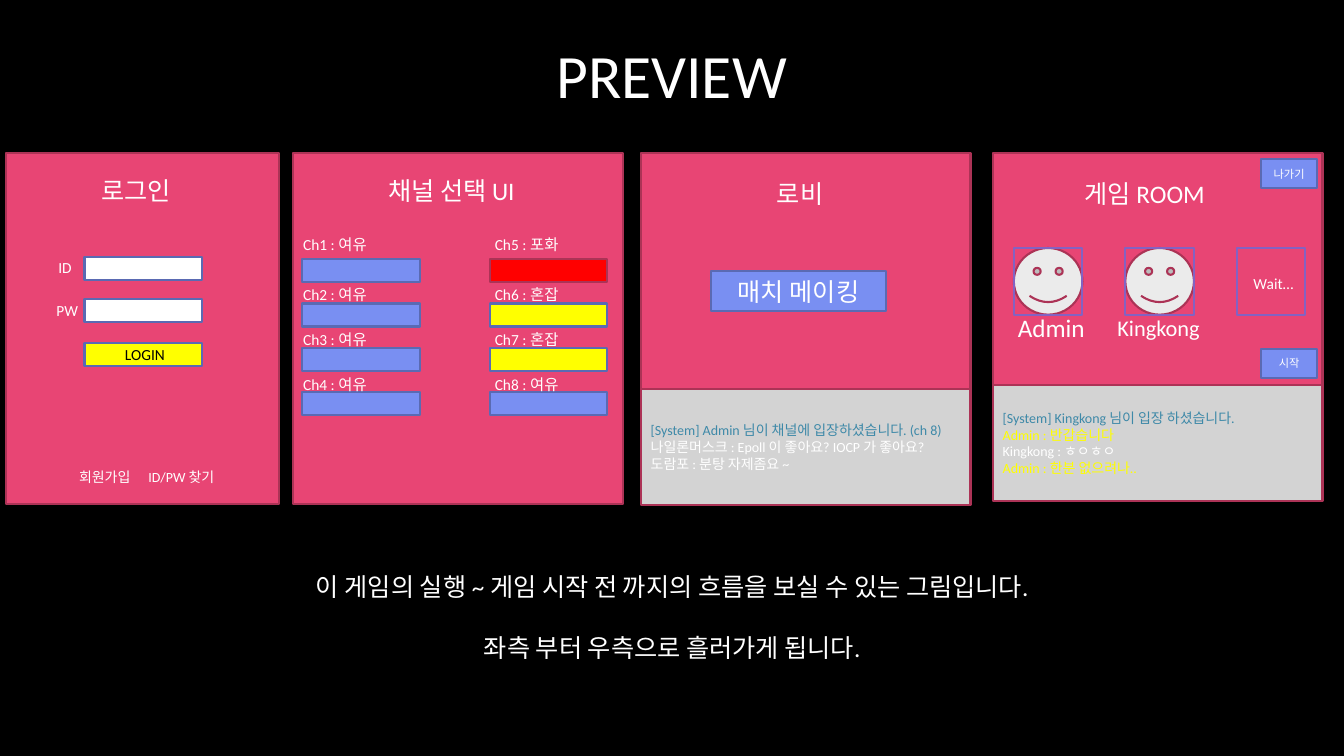
from pptx import Presentation
from pptx.dml.color import RGBColor
from pptx.enum.shapes import MSO_SHAPE
from pptx.enum.text import MSO_ANCHOR, MSO_AUTO_SIZE, PP_ALIGN
from pptx.util import Cm, Pt

RECT, SMILEY = MSO_SHAPE.RECTANGLE, MSO_SHAPE.SMILEY_FACE
TOP, MIDDLE = MSO_ANCHOR.TOP, MSO_ANCHOR.MIDDLE
LEFT, CENTER = PP_ALIGN.LEFT, PP_ALIGN.CENTER

FONT = "Calibri"
WHITE, BLACK, YELLOW, RED = "FFFFFF", "000000", "FFFF00", "FF0000"
PINK, WINE, BLUE, NAVY = "E84574", "AC3356", "798FF2", "5A6AB3"
GREY, FACE, PURPLE, TEAL = "D3D3D3", "EBEBEB", "8362C2", "3E89A8"

# Content: lengths in centimetres
PANEL_TOP = 3.86
PANELS = [  # left, width, height, heading, heading left, top, width
    (0.15, 6.88, 8.84, "로그인", 2.31, 4.29, 2.54),
    (7.39, 8.31, 8.84, "채널 선택 UI", 9.53, 4.29, 4.29),
    (16.15, 8.31, 8.71, "로비", 19.33, 4.37, 1.98),
    (25.02, 8.31, 8.71, "게임 ROOM", 27.08, 4.37, 4.29),
]
BAR_WIDTH, BAR_HEIGHT = 2.97, 0.58
LOGIN_ROWS = [  # bar top, bar fill, label, label left, label top, label colour
    (6.48, WHITE, "ID", 1.22, 6.38, WHITE),
    (7.54, WHITE, "PW", 1.17, 7.47, WHITE),
    (8.64, YELLOW, "LOGIN", 2.9, 8.56, BLACK),
]
LOGIN_LINKS = [("회원가입", 1.37), ("ID/PW 찾기", 3.3)]
CHANNEL_COLUMNS = [  # bar left, label left, states
    (7.62, 7.39, ["여유", "여유", "여유", "여유"]),
    (12.34, 12.22, ["포화", "혼잡", "혼잡", "여유"]),
]
CHANNEL_LABEL_TOPS = [5.79, 7.06, 8.2, 9.33]
STATE_COLOURS = {"여유": (BLUE, NAVY), "혼잡": (YELLOW, NAVY), "포화": (RED, WINE)}
CHATS = [  # left, top, lines
    (16.15, 9.8, [("[System] Admin 님이 채널에 입장하셨습니다. (ch 8)", TEAL),
                  ("나일론머스크 : Epoll 이 좋아요? IOCP 가 좋아요?", WHITE),
                  ("도람포 : 분탕 자제좀요 ~", WHITE)]),
    (25.02, 9.7, [("[System] Kingkong 님이 입장 하셨습니다.", TEAL),
                  ("Admin : 반갑습니다", YELLOW),
                  ("Kingkong : ㅎㅇㅎㅇ", WHITE),
                  ("Admin : 한분 없으려나..", YELLOW)]),
]
PLAYERS = [("Admin", 25.4, 7.75, 18), ("Kingkong", 27.91, 7.8, 16)]
SEAT_LEFT, SEAT_TOP, SEAT_PITCH, SEAT_SIZE = 25.55, 6.25, 2.81, (1.73, 1.68)
BUTTONS = [  # text, left, top, width, height, size
    ("매치 메이킹", 17.93, 6.83, 4.39, 1.02, 18),
    ("나가기", 31.78, 4.01, 1.42, 0.74, 8),
    ("시작", 31.78, 8.79, 1.42, 0.74, 8),
]
CAPTION = ["이 게임의 실행 ~ 게임 시작 전 까지의 흐름을 보실 수 있는 그림입니다.",
           "좌측 부터 우측으로 흘러가게 됩니다."]

deck = Presentation()
deck.slide_width, deck.slide_height = Cm(33.87), Cm(19.05)
page = deck.slides.add_slide(deck.slide_layouts[5])


def colour(value):
    return RGBColor.from_string(value)


def write(box, lines, size=11, color=WHITE, align=LEFT, anchor=TOP, gap=0):
    """Fill a box with one text, or with texts or (text, colour) pairs."""
    frame = box.text_frame
    frame.word_wrap = True
    frame.auto_size = MSO_AUTO_SIZE.NONE
    frame.vertical_anchor = anchor
    for index, line in enumerate([lines] if isinstance(lines, str) else lines):
        text, shade = (line, color) if isinstance(line, str) else line
        para = frame.paragraphs[0] if index == 0 else frame.add_paragraph()
        para.alignment = align
        para.space_before = Pt(gap if index else 0)
        span = para.add_run()
        span.text = text
        span.font.name, span.font.size = FONT, Pt(size)
        span.font.color.rgb = colour(shade)


def label(lines, left, top, width=2.54, height=0.74, **style):
    box = page.shapes.add_textbox(Cm(left), Cm(top), Cm(width), Cm(height))
    write(box, lines, **style)


def shape(left, top, width, height, fill, line, kind=RECT):
    box = page.shapes.add_shape(kind, Cm(left), Cm(top), Cm(width), Cm(height))
    box.shadow.inherit = False
    if fill:
        box.fill.solid()
        box.fill.fore_color.rgb = colour(fill)
    else:
        box.fill.background()
    box.line.color.rgb = colour(line)
    box.line.width = Pt(1.5)
    return box


# Background and title
page.background.fill.solid()
page.background.fill.fore_color.rgb = colour(BLACK)
title = page.shapes.title
title.left, title.top, title.width, title.height = Cm(13.74), Cm(0.81), Cm(6.38), Cm(2.13)
write(title, "PREVIEW", size=44, align=CENTER)

# Four screens with their headings
for left, width, height, heading, text_left, text_top, text_width in PANELS:
    shape(left, PANEL_TOP, width, height, PINK, WINE)
    label(heading, text_left, text_top, text_width, 1.02, size=18)

# Login form
for bar_top, fill, text, left, top, color in LOGIN_ROWS:
    shape(2.13, bar_top, BAR_WIDTH, BAR_HEIGHT, fill, NAVY)
    label(text, left, top, color=color)
for text, left in LOGIN_LINKS:
    label(text, left, 11.67, height=0.69, size=10, align=CENTER)

# Channel list, numbered down each column
for column, (bar_left, label_left, states) in enumerate(CHANNEL_COLUMNS):
    for row, (state, label_top) in enumerate(zip(states, CHANNEL_LABEL_TOPS)):
        shape(bar_left, 6.53 + row * 1.12, BAR_WIDTH, BAR_HEIGHT, *STATE_COLOURS[state])
        label(f"Ch{column * len(states) + row + 1} : {state}", label_left, label_top)

# Chat logs
for left, top, lines in CHATS:
    write(shape(left, top, 8.31, 2.92, GREY, WINE), lines, size=10, anchor=MIDDLE)

# Room seats: two players and one waiting place
for seat in range(3):
    seat_left = SEAT_LEFT + seat * SEAT_PITCH
    if seat < len(PLAYERS):
        shape(seat_left, SEAT_TOP, *SEAT_SIZE, FACE, WINE, SMILEY)
    shape(seat_left, SEAT_TOP, *SEAT_SIZE, None, PURPLE)
for name, left, top, size in PLAYERS:
    label(name, left, top, 2.59, 1.02, size=size)
label("Wait…", 31.34, 6.78)

# Buttons
for text, left, top, width, height, size in BUTTONS:
    button = shape(left, top, width, height, BLUE, NAVY)
    write(button, text, size=size, align=CENTER, anchor=MIDDLE)

# Caption
label(CAPTION, 0.99, 14.27, 31.9, 2.57, size=18, align=CENTER, gap=22)

deck.save("out.pptx")
